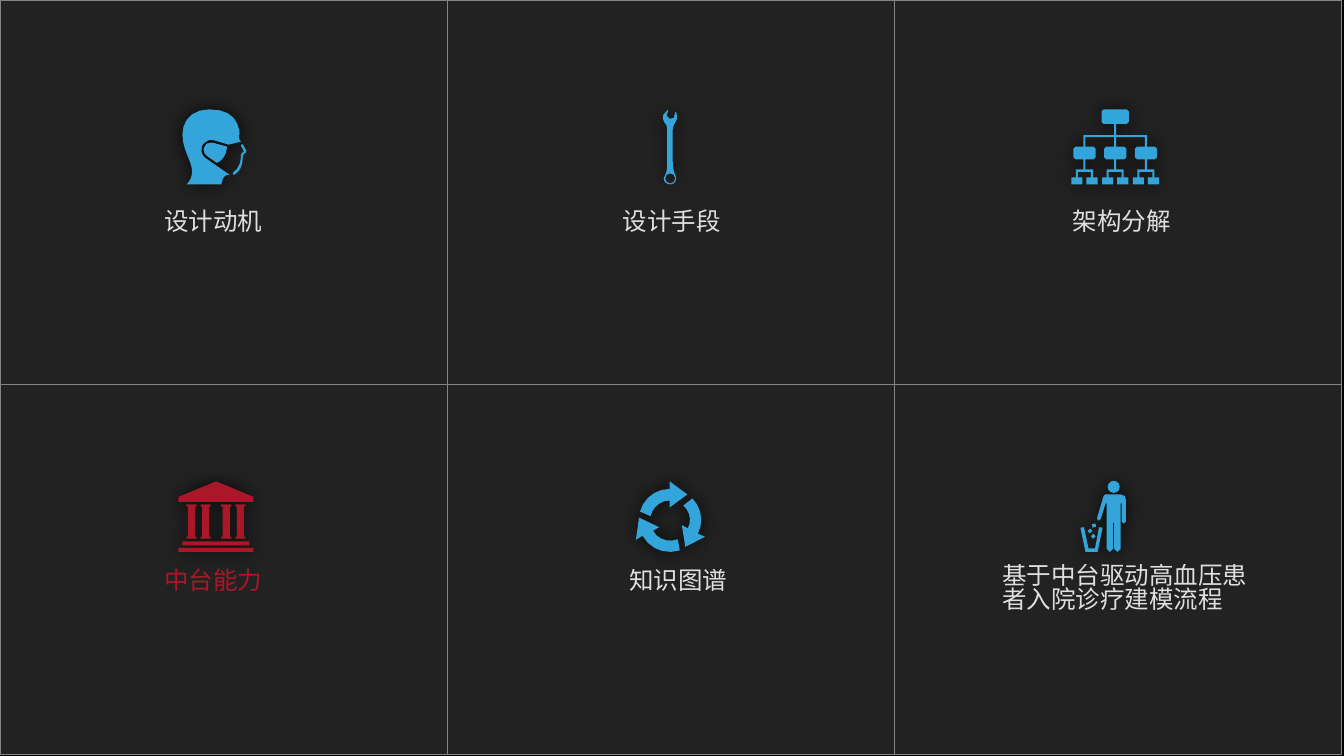
from math import dist

from pptx import Presentation
from pptx.dml.color import RGBColor
from pptx.enum.shapes import MSO_SHAPE as Shape
from pptx.enum.text import MSO_ANCHOR as Anchor, PP_ALIGN as Align
from pptx.oxml import parse_xml
from pptx.oxml.ns import nsdecls, qn
from pptx.util import Inches, Pt

PANEL, BORDER, WHITE = "222222", "838787", "FFFFFF"
BLUE, RED = "34A5DA", "AA1728"

# Outlines in inches: a pair is a straight corner, six numbers are a Bézier curve
HEAD = [
    [(4.15, 2.17), (3.8, 2.17, 3.62, 2.4, 3.62, 2.67), (3.62, 2.95, 3.78, 3.16, 3.81, 3.35),
     (3.84, 3.54, 3.7, 3.66, 3.7, 3.66), (4.39, 3.66), (4.43, 3.46, 4.49, 3.47, 4.56, 3.47),
     (4.07, 3.13), (4.02, 3.09, 3.99, 3.02, 4, 2.95), (4, 2.9, 4.03, 2.85, 4.08, 2.82),
     (4.12, 2.78, 4.18, 2.77, 4.23, 2.78), (4.54, 2.87), (4.78, 2.81), (4.75, 2.76),
     (4.71, 2.69, 4.78, 2.66, 4.75, 2.59), (4.7, 2.34, 4.55, 2.17, 4.15, 2.17)],
    [(4.19, 2.83), (4.1, 2.85), (4.07, 2.88, 4.05, 2.92, 4.04, 2.96),
     (4.04, 3.01, 4.06, 3.06, 4.1, 3.09), (4.3, 3.23), (4.39, 3.2, 4.44, 3.13, 4.48, 3.04),
     (4.51, 2.91), (4.22, 2.83)],
    [(4.8, 2.86), (4.78, 2.89), (4.84, 3), (4.78, 3.06), (4.78, 3.08, 4.8, 3.31, 4.63, 3.42),
     (4.62, 3.45), (4.64, 3.47), (4.66, 3.46), (4.74, 3.41, 4.79, 3.33, 4.81, 3.22),
     (4.82, 3.08), (4.88, 3.02), (4.89, 2.99), (4.82, 2.87)],
]
WRENCH = [
    (13.25, 2.18), (13.16, 2.28), (13.15, 2.33, 13.15, 2.38, 13.18, 2.42),
    (13.24, 2.48, 13.24, 2.53, 13.24, 2.59), (13.24, 3.2), (13.24, 3.32, 13.24, 3.41, 13.2, 3.47),
    (13.17, 3.54), (13.17, 3.61, 13.23, 3.66, 13.3, 3.66),
    (13.36, 3.66, 13.42, 3.61, 13.42, 3.54), (13.4, 3.47),
    (13.37, 3.42, 13.35, 3.31, 13.35, 3.2), (13.35, 2.57), (13.35, 2.51, 13.38, 2.46, 13.4, 2.43),
    (13.43, 2.37), (13.44, 2.33, 13.44, 2.28, 13.42, 2.23), (13.4, 2.23), (13.37, 2.34),
    (13.36, 2.39, 13.21, 2.35, 13.23, 2.3), (13.26, 2.19)]
CYCLE = [
    [(13.29, 9.55), (13.29, 9.7), (13.01, 9.7, 12.77, 9.89, 12.7, 10.15), (12.91, 10.24),
     (12.95, 10.07, 13.1, 9.93, 13.29, 9.93), (13.29, 10.07), (13.64, 9.81)],
    [(13.74, 9.89), (13.56, 10.03), (13.69, 10.14, 13.73, 10.33, 13.65, 10.48), (13.53, 10.42),
     (13.6, 10.85), (13.99, 10.65), (13.85, 10.59), (13.97, 10.35, 13.92, 10.07, 13.74, 9.89)],
    [(12.68, 10.27), (12.62, 10.71), (12.75, 10.63), (12.9, 10.9, 13.21, 11.01, 13.49, 10.92),
     (13.45, 10.7), (13.26, 10.77, 13.05, 10.7, 12.96, 10.53), (13.08, 10.46)],
]
BODY = [
    (21.93, 9.81), (21.9, 9.84), (21.77, 10.28), (21.79, 10.33), (21.84, 10.3),
    (21.94, 9.99), (21.96, 9.99), (21.96, 10.89), (21.96, 10.97, 22.09, 10.97, 22.09, 10.89),
    (22.09, 10.37), (22.11, 10.37), (22.11, 10.89), (22.11, 10.97, 22.24, 10.97, 22.24, 10.89),
    (22.24, 9.99), (22.26, 9.99), (22.26, 10.35), (22.3, 10.39), (22.34, 10.35),
    (22.34, 9.91), (22.32, 9.84), (22.24, 9.81)]
BIN = [(21.51, 10.46), (21.44, 10.47), (21.54, 10.95), (21.78, 10.95), (21.88, 10.47),
       (21.81, 10.46), (21.73, 10.88), (21.6, 10.88)]
LITTER = [
    [(21.74, 10.39), (21.67, 10.4), (21.68, 10.47), (21.75, 10.45)],
    [(21.64, 10.49), (21.58, 10.53), (21.62, 10.58), (21.68, 10.54)],
    [(21.7, 10.59), (21.65, 10.64), (21.69, 10.69), (21.74, 10.64)],
]


def color(value):
    return RGBColor.from_string(value)


def box(left, top, right, bottom):
    return [(left, top), (right, top), (right, bottom), (left, bottom)]


def rounded_box(left, top, right, bottom, radius):
    bend = radius * 0.45
    return [
        (left + radius, top), (right - radius, top),
        (right - bend, top, right, top + bend, right, top + radius), (right, bottom - radius),
        (right, bottom - bend, right - bend, bottom, right - radius, bottom),
        (left + radius, bottom),
        (left + bend, bottom, left, bottom - bend, left, bottom - radius), (left, top + radius),
        (left, top + bend, left + bend, top, left + radius, top)]


def circle(x, y, radius):
    return rounded_box(x - radius, y - radius, x + radius, y + radius, radius)


def org_chart_outlines():
    middle, pitch, half = 22.13, 0.61, 0.02
    outlines = [rounded_box(21.86, 2.17, 22.4, 2.46, 0.04),
                box(middle - half, 2.46, middle + half, 2.68),
                box(middle - pitch - half, 2.68, middle + pitch + half, 2.72)]
    for x in (middle - pitch, middle, middle + pitch):
        outlines += [box(x - half, 2.72, x + half, 2.91),
                     rounded_box(x - 0.22, 2.91, x + 0.22, 3.16, 0.04),
                     box(x - half, 3.16, x + half, 3.36),
                     box(x - 0.17, 3.36, x + 0.17, 3.41)]
        for leaf in (x - 0.15, x + 0.15):
            outlines += [box(leaf - half, 3.41, leaf + half, 3.52),
                         box(leaf - 0.11, 3.52, leaf + 0.11, 3.66)]
    return outlines


def temple_outlines():
    outlines = [[(4.29, 9.55), (3.54, 9.86), (3.54, 9.96), (5.03, 9.96), (5.03, 9.86)],
                box(3.62, 10.74, 4.95, 10.82), box(3.54, 10.87, 5.03, 10.95)]
    for left in (3.7, 3.98, 4.39, 4.67):
        outlines += [box(left, 10.01, left + 0.2, 10.05),
                     box(left + 0.03, 10.05, left + 0.17, 10.65),
                     box(left, 10.65, left + 0.2, 10.69)]
    return outlines


def flatten(outline):
    points = [outline[0]]
    for part in outline[1:]:
        if len(part) == 2:
            points.append(part)
            continue
        controls = [points[-1], part[:2], part[2:4], part[4:]]
        # Longer curves get more segments
        steps = max(1, min(5, round(dist(controls[0], controls[3]) / 0.06)))
        for step in range(1, steps + 1):
            t = step / steps
            weights = ((1 - t) ** 3, 3 * t * (1 - t) ** 2, 3 * t * t * (1 - t), t ** 3)
            points.append(tuple(sum(w * c[axis] for w, c in zip(weights, controls))
                                for axis in (0, 1)))
    return [(Inches(x), Inches(y)) for x, y in points]


def add_icon(slide, outlines, fill):
    first, *others = [flatten(outline) for outline in outlines]
    builder = slide.shapes.build_freeform(*first[0])
    builder.add_line_segments(first[1:], close=True)
    for points in others:
        builder.move_to(*points[0])
        builder.add_line_segments(points[1:], close=True)
    shape = builder.convert_to_shape()
    shape.fill.solid()
    shape.fill.fore_color.rgb = color(fill)
    shape.line.fill.background()
    # Soft dark shadow all around
    shape._element.spPr.append(parse_xml(
        f'<a:effectLst {nsdecls("a")}><a:outerShdw blurRad="{Pt(28)}" dist="0" dir="0">'
        '<a:srgbClr val="000000"><a:alpha val="75000"/></a:srgbClr></a:outerShdw></a:effectLst>'))


def add_rectangle(shapes, left, top, width, height):
    shape = shapes.add_shape(Shape.RECTANGLE, Inches(left), Inches(top),
                             Inches(width), Inches(height))
    shape.shadow.inherit = False
    shape.fill.solid()
    shape.fill.fore_color.rgb = color(PANEL)
    shape.line.fill.background()
    return shape


def add_panels(slide):
    group = slide.shapes.add_group_shape()
    for top, height in ((0.01, 7.63), (7.63, 7.34)):
        for column in range(3):
            panel = add_rectangle(group.shapes, column * 8.87, top, 8.88, height)
            panel.line.color.rgb = color(BORDER)
            panel.line.width = Pt(1.25)


def add_label(slide, text, left, top, width, height, fill=WHITE, align=Align.CENTER):
    text_frame = add_rectangle(slide.shapes, left, top, width, height).text_frame
    text_frame.word_wrap = True
    text_frame.vertical_anchor = Anchor.MIDDLE
    text_frame.margin_left = text_frame.margin_right = Inches(0.06)
    text_frame.margin_top = text_frame.margin_bottom = Inches(0.06)
    text_frame.text = text
    paragraph = text_frame.paragraphs[0]
    paragraph.alignment = align
    paragraph.line_spacing = 0.8
    font = paragraph.runs[0].font
    font.name, font.size = "Roboto", Pt(35)
    font.color.rgb = color(fill)
    if fill == WHITE:
        value = font._element.find(".//" + qn("a:srgbClr"))
        value.append(parse_xml(f'<a:alpha {nsdecls("a")} val="85000"/>'))


def main():
    presentation = Presentation()
    presentation.slide_width, presentation.slide_height = Inches(26.67), Inches(15)
    slide = presentation.slides.add_slide(presentation.slide_layouts[6])
    slide.background.fill.solid()
    slide.background.fill.fore_color.rgb = color("000000")
    add_panels(slide)

    # Labels
    for text, left in (("设计动机", 2.81), ("设计手段", 11.91), ("架构分解", 20.84)):
        add_label(slide, text, left, 4.02, 2.84, 0.82)
    add_label(slide, "中台能力", 2.81, 11.1, 2.84, 0.93, RED)
    add_label(slide, "知识图谱", 11.31, 11.1, 4.31, 0.93)
    add_label(slide, "基于中台驱动高血压患者入院诊疗建模流程", 19.83, 11.1, 5.21, 1.2,
              align=Align.LEFT)

    # Icons
    add_icon(slide, HEAD, BLUE)
    add_icon(slide, [WRENCH, circle(13.3, 3.54, 0.1)], BLUE)
    add_icon(slide, org_chart_outlines(), BLUE)
    add_icon(slide, temple_outlines(), RED)
    add_icon(slide, CYCLE, BLUE)
    add_icon(slide, [circle(22.1, 9.66, 0.12), BODY, BIN, *LITTER], BLUE)

    presentation.save("out.pptx")


if __name__ == "__main__":
    main()
